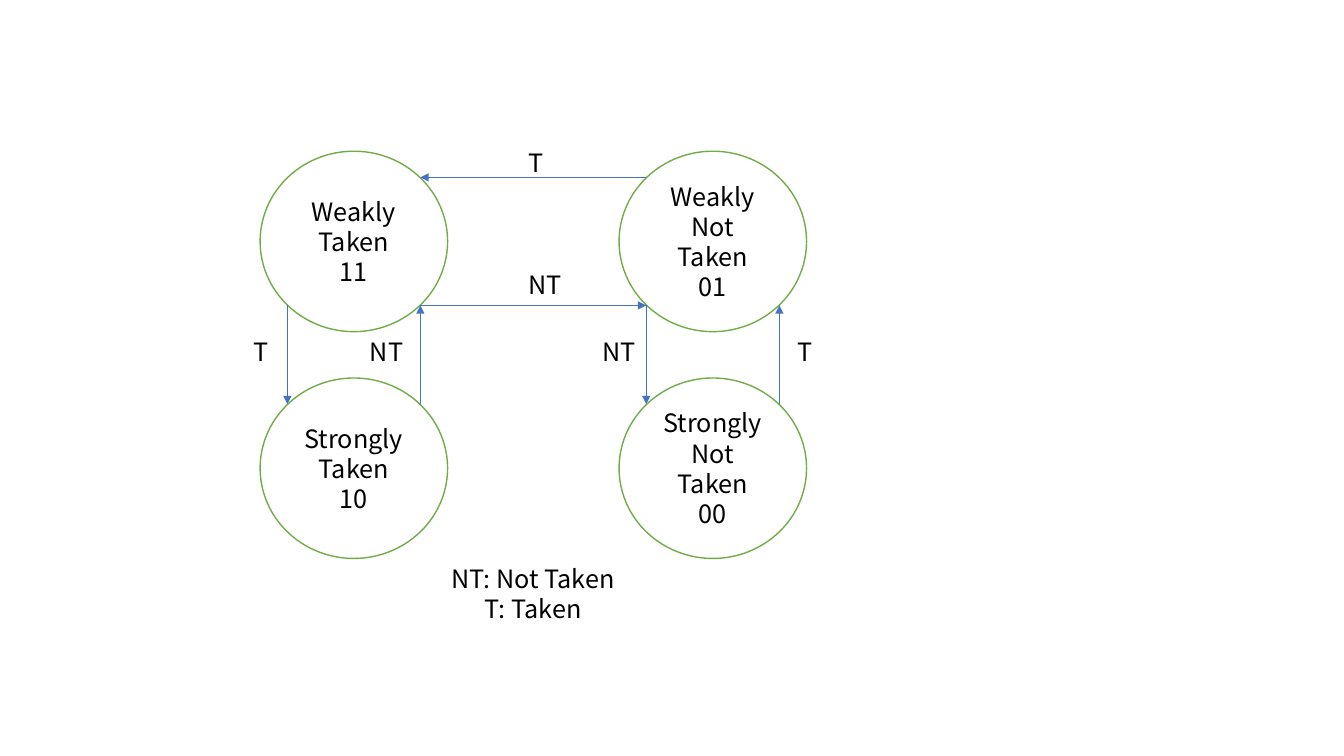
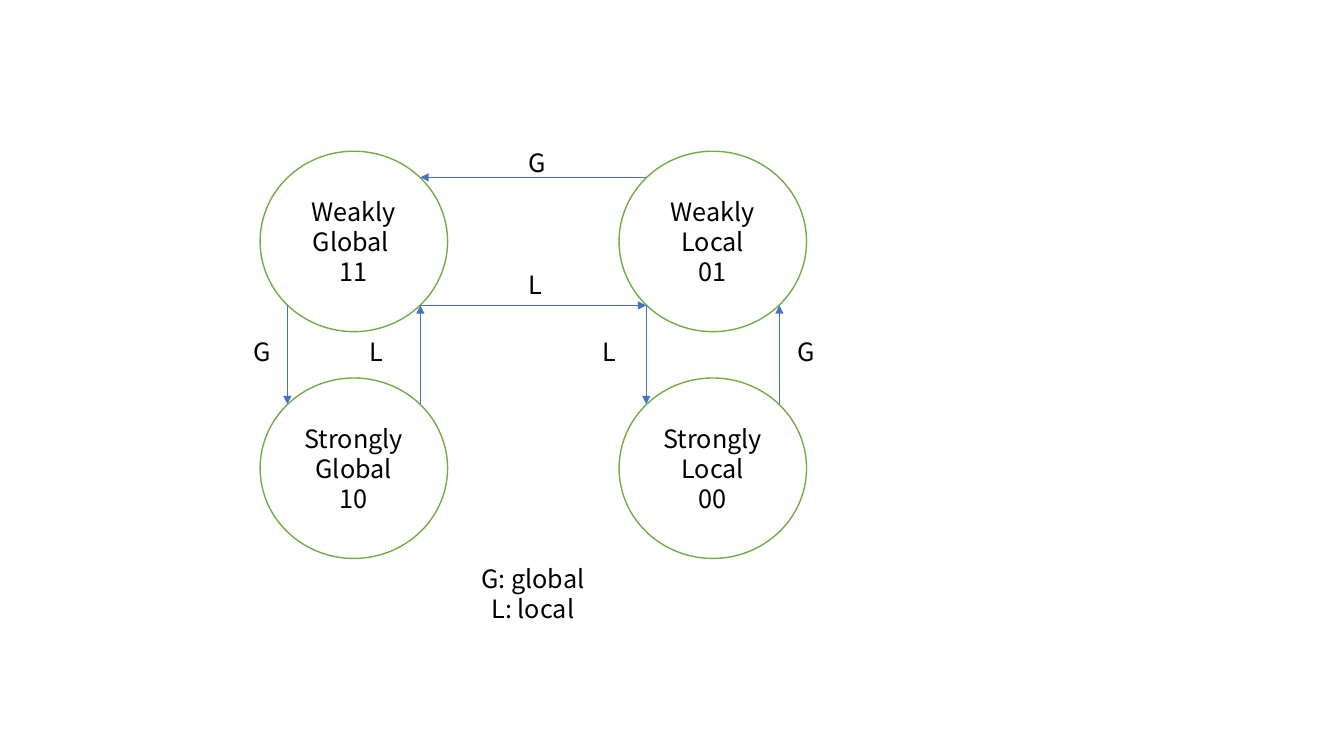
from dataclasses import dataclass
from math import cos, pi

from pptx import Presentation
from pptx.dml.color import RGBColor
from pptx.enum.shapes import MSO_CONNECTOR, MSO_SHAPE
from pptx.enum.text import MSO_ANCHOR, MSO_AUTO_SIZE, PP_ALIGN
from pptx.oxml.ns import qn
from pptx.oxml.xmlchemy import OxmlElement
from pptx.util import Emu, Pt


@dataclass(frozen=True)
class Theme:
    font: str = "Noto Sans CJK SC"
    text_size: int = 18
    text: RGBColor = RGBColor(0x00, 0x00, 0x00)
    background: RGBColor = RGBColor(0xFF, 0xFF, 0xFF)
    state_line: RGBColor = RGBColor(0x70, 0xAD, 0x47)
    state_line_width: float = 1
    arrow: RGBColor = RGBColor(0x44, 0x72, 0xC4)
    arrow_width: float = 0.5


THEME = Theme()
EMU_PER_PX = 9144
SLIDE_WIDTH, SLIDE_HEIGHT = 1333, 750
DIAGRAM_BOX = (258, 150, 542, 404)
STATE_WIDTH, STATE_HEIGHT = 186, 179
LABEL_WIDTH, LABEL_HEIGHT = 72, 40
LEGEND_WIDTH, LEGEND_HEIGHT = 289, 71
DIAGONAL_INSET = (1 - cos(pi / 4)) / 2

DIAGRAMS = [
    {
        "states": {
            (0, 1): ["Strongly", "Taken", "10"],
            (0, 0): ["Weakly", "Taken", "11"],
            (1, 0): ["Weakly", "Not", "Taken", "01"],
            (1, 1): ["Strongly", "Not", "Taken", "00"],
        },
        "outcomes": ("T", "NT"),
        "legend": ["NT: Not Taken", "T: Taken"],
    },
    {
        "states": {
            (0, 1): ["Strongly", "Global", "10"],
            (0, 0): ["Weakly", "Global ", "11"],
            (1, 0): ["Weakly", "Local", "01"],
            (1, 1): ["Strongly", "Local", "00"],
        },
        "outcomes": ("G", "L"),
        "legend": ["G: global", "L: local"],
    },
]


def px(length):
    return Emu(round(length) * EMU_PER_PX)


def write_text(shape, lines, align=PP_ALIGN.LEFT, anchor=MSO_ANCHOR.TOP,
               size=THEME.text_size, color=THEME.text):
    frame = shape.text_frame
    frame.word_wrap = True
    frame.vertical_anchor = anchor
    for index, line in enumerate(lines):
        paragraph = frame.add_paragraph() if index else frame.paragraphs[0]
        paragraph.alignment = align
        run = paragraph.add_run()
        run.text = line
        run.font.name = THEME.font
        run.font.size = Pt(size)
        run.font.color.rgb = color


def add_text_box(shapes, box, lines, **text_format):
    text_box = shapes.add_textbox(*map(px, box))
    write_text(text_box, lines, **text_format)
    text_box.text_frame.auto_size = MSO_AUTO_SIZE.SHAPE_TO_FIT_TEXT


def add_state(shapes, box, lines):
    state = shapes.add_shape(MSO_SHAPE.OVAL, *map(px, box))
    state.shadow.inherit = False
    state.fill.solid()
    state.fill.fore_color.rgb = THEME.background
    state.line.color.rgb = THEME.state_line
    state.line.width = Pt(THEME.state_line_width)
    write_text(state, lines, align=PP_ALIGN.CENTER, anchor=MSO_ANCHOR.MIDDLE)


def add_arrow(shapes, start, end):
    arrow = shapes.add_connector(MSO_CONNECTOR.STRAIGHT, *map(px, (*start, *end)))
    arrow.line.color.rgb = THEME.arrow
    arrow.line.width = Pt(THEME.arrow_width)
    properties = arrow.element.spPr
    head = OxmlElement("a:tailEnd")
    head.set("type", "triangle")
    properties.find(qn("a:ln")).append(head)
    properties.append(OxmlElement("a:effectLst"))


def add_state_diagram(shapes, box, states, outcomes, legend):
    left, top, width, height = box
    columns = (left, left + width - STATE_WIDTH)
    rows = (top, top + height - STATE_HEIGHT)
    inset_x = STATE_WIDTH * DIAGONAL_INSET
    inset_y = STATE_HEIGHT * DIAGONAL_INSET
    outer_left, outer_right = columns[0] + inset_x, columns[1] + STATE_WIDTH - inset_x
    inner_left, inner_right = columns[0] + STATE_WIDTH - inset_x, columns[1] + inset_x
    weak_top, weak_bottom = rows[0] + inset_y, rows[0] + STATE_HEIGHT - inset_y
    strong_top = rows[1] + inset_y
    stay, change = outcomes

    for (column, row), lines in states.items():
        add_state(shapes, (columns[column], rows[row], STATE_WIDTH, STATE_HEIGHT), lines)

    transitions = [
        ((inner_right, weak_top), (inner_left, weak_top), (256, -9), stay),
        ((inner_left, weak_bottom), (inner_right, weak_bottom), (256, 112), change),
        ((inner_right, weak_bottom), (inner_right, strong_top), (330, 179), change),
        ((outer_right, strong_top), (outer_right, weak_bottom), (523, 179), stay),
        ((inner_left, strong_top), (inner_left, weak_bottom), (99, 179), change),
        ((outer_left, weak_bottom), (outer_left, strong_top), (-16, 179), stay),
    ]
    for start, end, (label_x, label_y), outcome in transitions:
        add_arrow(shapes, start, end)
        label_box = (left + label_x, top + label_y, LABEL_WIDTH, LABEL_HEIGHT)
        add_text_box(shapes, label_box, [outcome])

    legend_box = (left + 126, top + height, LEGEND_WIDTH, LEGEND_HEIGHT)
    add_text_box(shapes, legend_box, legend, align=PP_ALIGN.CENTER)


def add_diagram_slide(presentation, diagram):
    slide = presentation.slides.add_slide(presentation.slide_layouts[6])
    slide.background.fill.solid()
    slide.background.fill.fore_color.rgb = THEME.background
    group = slide.shapes.add_group_shape()
    add_state_diagram(group.shapes, DIAGRAM_BOX, **diagram)


def main():
    presentation = Presentation()
    presentation.slide_width = px(SLIDE_WIDTH)
    presentation.slide_height = px(SLIDE_HEIGHT)
    for diagram in DIAGRAMS:
        add_diagram_slide(presentation, diagram)
    presentation.save("out.pptx")


if __name__ == "__main__":
    main()
